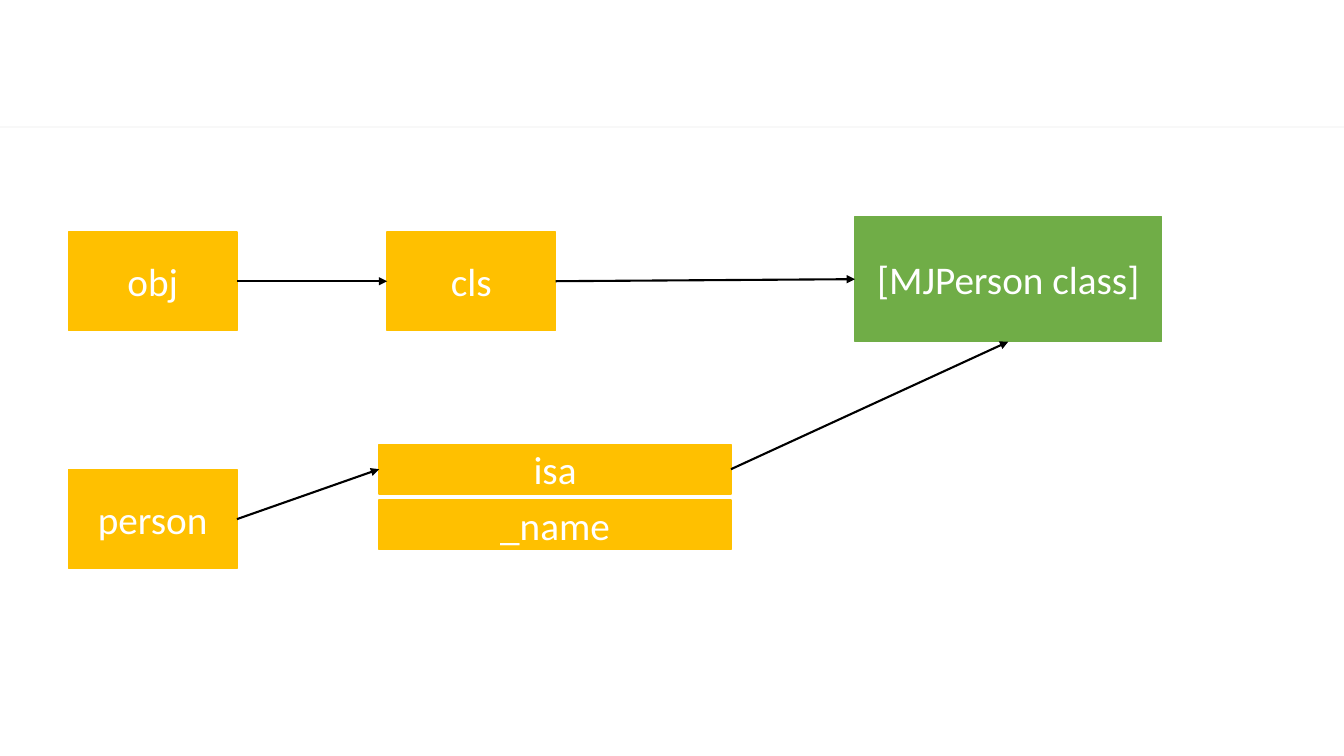
"""Builds a slide showing how obj and person both lead to the MJPerson class."""
from lxml import etree
from pptx import Presentation
from pptx.dml.color import RGBColor
from pptx.enum.shapes import MSO_CONNECTOR as CONN, MSO_SHAPE as SHAPE
from pptx.enum.text import MSO_ANCHOR as ANCHOR, PP_ALIGN as ALIGN
from pptx.oxml.ns import qn
from pptx.util import Inches, Pt


def rgb(value):
    return RGBColor.from_string(value)


def add_box(left, top, width, height, color):
    sp = s.shapes.add_shape(SHAPE.RECTANGLE, Inches(left), Inches(top),
                            Inches(width), Inches(height))
    sp.shadow.inherit = False
    sp.fill.solid()
    sp.fill.fore_color.rgb = rgb(color)
    return sp


prs = Presentation()
prs.slide_width, prs.slide_height = Inches(13.33), Inches(7.5)
s = prs.slides.add_slide(prs.slide_layouts[6])

divider = add_box(-0.01, 1.25, 13.34, 0.02, "EAEAEA")
divider.line.fill.background()
color = divider.fill._xPr.find(qn("a:solidFill"))[0]
etree.SubElement(color, qn("a:alpha"), val="32000")

AMBER, GREEN = "FFC000", "70AD47"
boxes = {}
for text, left, top, width, height, fill in [
    ("[MJPerson class]", 8.48, 2.15, 3.04, 1.24, GREEN),
    ("cls", 3.84, 2.3, 1.67, 0.98, AMBER),
    ("obj", 0.68, 2.3, 1.67, 0.98, AMBER),
    ("person", 0.68, 4.66, 1.67, 0.98, AMBER),
    ("isa", 3.76, 4.41, 3.49, 0.49, AMBER),
    ("_name", 3.76, 4.96, 3.49, 0.49, AMBER),
]:
    sp = add_box(left, top, width, height, fill)
    sp.line.color.rgb = rgb(fill)
    sp.line.width = Pt(1)
    tf = sp.text_frame
    tf.text = text
    tf.vertical_anchor = ANCHOR.MIDDLE
    p = tf.paragraphs[0]
    p.alignment = ALIGN.CENTER
    font = p.runs[0].font
    font.name, font.size = "Calibri", Pt(28)
    font.color.rgb = rgb("FFFFFF")
    boxes[text] = sp

LEFT, BOTTOM, RIGHT = 1, 2, 3
for source, target, side in [
    ("cls", "[MJPerson class]", LEFT),
    ("obj", "cls", LEFT),
    ("person", "isa", LEFT),
    ("isa", "[MJPerson class]", BOTTOM),
]:
    arrow = s.shapes.add_connector(CONN.STRAIGHT, 0, 0, 0, 0)
    arrow.begin_connect(boxes[source], RIGHT)
    arrow.end_connect(boxes[target], side)
    arrow.line.color.rgb = rgb("000000")
    arrow.line.width = Pt(1.5)
    etree.SubElement(arrow.line._get_or_add_ln(), qn("a:tailEnd"), type="triangle")
    etree.SubElement(arrow._element.spPr, qn("a:effectLst"))

prs.save("out.pptx")
